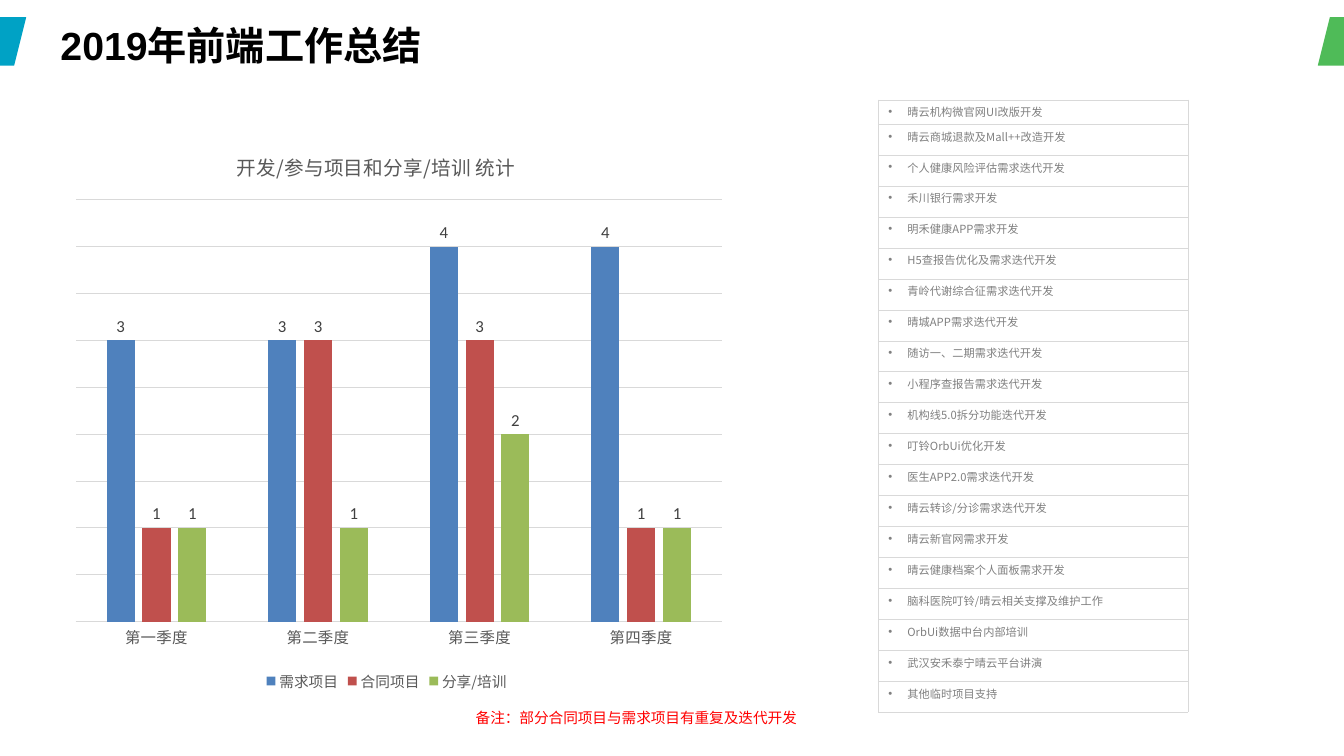
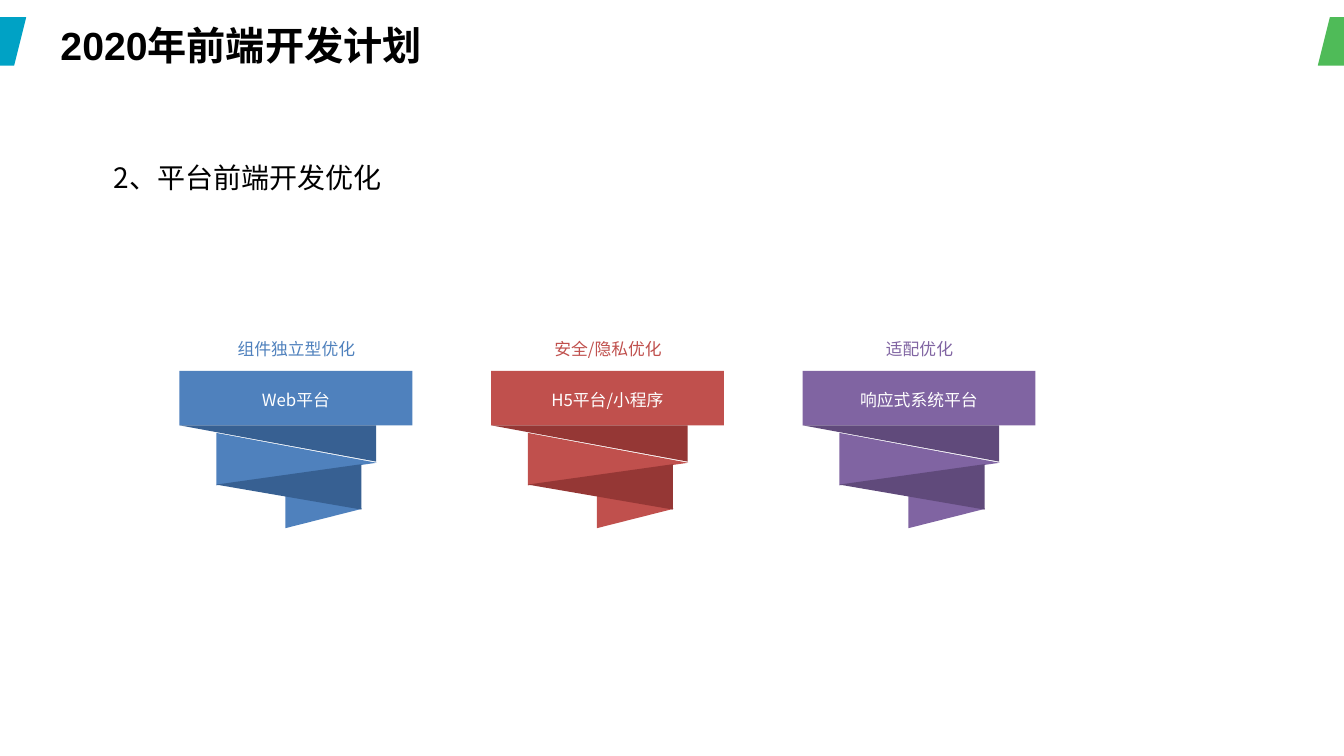
from copy import deepcopy

from lxml.etree import SubElement
from pptx import Presentation
from pptx.chart.data import CategoryChartData
from pptx.dml.color import RGBColor
from pptx.enum.chart import (XL_CHART_TYPE, XL_LABEL_POSITION, XL_LEGEND_POSITION,
                             XL_TICK_LABEL_POSITION, XL_TICK_MARK)
from pptx.enum.shapes import MSO_SHAPE
from pptx.enum.text import MSO_ANCHOR, PP_ALIGN
from pptx.oxml import parse_xml
from pptx.oxml.ns import nsdecls, qn
from pptx.util import Inches, Pt

CJK = "Noto Sans CJK SC"
BLUE, RED, GREEN, PURPLE = "4F81BD", "C0504D", "9BBB59", "8064A2"
GRID, GREY = "D9D9D9", "595959"
TITLES = ["2019年前端工作总结", "2020年前端开发计划"]
color = RGBColor.from_string


def add_shape(shapes, preset, box, fill, rotation=0, flips=(), adjustment=None):
    shape = shapes.add_shape(preset, *map(Inches, box))
    shape.shadow.inherit = False
    shape.fill.solid()
    shape.fill.fore_color.rgb = color(fill)
    shape.line.fill.background()
    shape.rotation = rotation
    for flip in flips:
        shape.element.spPr.find(qn("a:xfrm")).set(flip, "1")
    if adjustment is not None:
        shape.adjustments[0] = adjustment
    return shape


def write(text_frame, text, size, text_color, font=CJK, align=PP_ALIGN.LEFT, bold=False):
    text_frame.text = text
    text_frame.word_wrap = True
    paragraph = text_frame.paragraphs[0]
    paragraph.alignment = align
    run_font = paragraph.runs[0].font
    run_font.name, run_font.size, run_font.bold = font, Pt(size), bold
    run_font.color.rgb = color(text_color)
    return paragraph


presentation = Presentation()
presentation.slide_width, presentation.slide_height = Inches(13.33), Inches(7.5)
slides = []
for title_text in TITLES:
    slide = presentation.slides.add_slide(presentation.slide_layouts[5])
    for left, fill in [(-0.26, "00A2C5"), (13.07, "4FBB58")]:
        add_shape(slide.shapes, MSO_SHAPE.PARALLELOGRAM, (left, 0.17, 0.52, 0.48), fill)
    title = slide.shapes.title
    title.left, title.top, title.width, title.height = map(Inches, (0.6, 0.21, 6.51, 0.47))
    frame = title.text_frame
    frame.margin_left = frame.margin_top = frame.margin_right = frame.margin_bottom = 0
    frame.vertical_anchor = MSO_ANCHOR.TOP
    write(frame, title_text, 28, "000000", "Arial", bold=True)
    slides.append(slide)
summary, plan = slides

# Quarterly chart
chart_data = CategoryChartData()
chart_data.categories = ["第一季度", "第二季度", "第三季度", "第四季度"]
SERIES = [("需求项目", (3, 3, 4, 4), BLUE), ("合同项目", (1, 3, 3, 1), RED),
          ("分享/培训", (1, 1, 2, 1), GREEN)]
for name, values, _ in SERIES:
    chart_data.add_series(name, values)
chart = summary.shapes.add_chart(XL_CHART_TYPE.COLUMN_CLUSTERED,
                                 *map(Inches, (0.37, 1.23, 6.93, 5.67)), chart_data).chart
chart.font.name, chart.font.size = "Calibri", Pt(10)
chart.has_title = True
write(chart.chart_title.text_frame, "开发/参与项目和分享/培训 统计", 14, GREY,
      align=PP_ALIGN.CENTER)
chart.has_legend = True
chart.legend.position = XL_LEGEND_POSITION.BOTTOM
chart.legend.include_in_layout = False
category_axis, value_axis = chart.category_axis, chart.value_axis
for font, size in [(chart.legend.font, 10.5), (category_axis.tick_labels.font, 11)]:
    font.name, font.size = CJK, Pt(size)
    font.color.rgb = color(GREY)
for axis in (category_axis, value_axis):
    axis.major_tick_mark = axis.minor_tick_mark = XL_TICK_MARK.NONE
for line in (category_axis.format.line, value_axis.major_gridlines.format.line):
    line.color.rgb = color(GRID)
    line.width = Pt(0.75)
value_axis.minimum_scale, value_axis.maximum_scale, value_axis.major_unit = 0, 4.5, 0.5
value_axis.tick_label_position = XL_TICK_LABEL_POSITION.NONE
value_axis.format.line.fill.background()

plot = chart.plots[0]
plot.gap_width, plot.overlap, plot.vary_by_categories = 219, -27, False
for series, (_, _, fill) in zip(plot.series, SERIES):
    series.format.fill.solid()
    series.format.fill.fore_color.rgb = color(fill)
    labels = series.data_labels
    labels.show_value, labels.position = True, XL_LABEL_POSITION.OUTSIDE_END
    labels.font.name, labels.font.size = "Calibri", Pt(12)
    labels.font.color.rgb = color("404040")

# Title and plot area positions, as shares of the chart
plot_area = chart.element.find(".//" + qn("c:plotArea"))
for parent, index, target, shares in [
        (chart.chart_title.element, 1, "", {"x": 0.28, "y": 0.04}),
        (plot_area, 0, '<c:layoutTarget val="inner"/>',
         {"x": 0.055, "y": 0.133, "w": 0.925, "h": 0.738})]:
    for old_layout in parent.findall(qn("c:layout")):
        parent.remove(old_layout)
    modes = "".join(f'<c:{key}Mode val="edge"/>' for key in "xy")
    places = "".join(f'<c:{key} val="{share}"/>' for key, share in shares.items())
    parent.insert(index, parse_xml(f'<c:layout {nsdecls("c")}><c:manualLayout>{target}{modes}'
                                   f'{places}</c:manualLayout></c:layout>'))

note = summary.shapes.add_textbox(*map(Inches, (4.62, 6.98, 3.44, 0.28)))
write(note.text_frame, "备注：部分合同项目与需求项目有重复及迭代开发", 10.5, "FF0000")

# Project list
PROJECTS = [
    "晴云机构微官网UI改版开发", "晴云商城退款及Mall++改造开发", "个人健康风险评估需求迭代开发",
    "禾川银行需求开发", "明禾健康APP需求开发", "H5查报告优化及需求迭代开发",
    "青岭代谢综合征需求迭代开发", "晴城APP需求迭代开发", "随访一、二期需求迭代开发",
    "小程序查报告需求迭代开发", "机构线5.0拆分功能迭代开发", "叮铃OrbUi优化开发",
    "医生APP2.0需求迭代开发", "晴云转诊/分诊需求迭代开发", "晴云新官网需求开发",
    "晴云健康档案个人面板需求开发", "脑科医院叮铃/晴云相关支撑及维护工作",
    "OrbUi数据中台内部培训", "武汉安禾泰宁晴云平台讲演", "其他临时项目支持"]
FIRST_ROW, TABLE_HEIGHT = 0.24, 6.08
table = summary.shapes.add_table(len(PROJECTS), 1,
                                 *map(Inches, (8.71, 0.99, 3.07, TABLE_HEIGHT))).table
table.first_row = table.horz_banding = False
for index, project in enumerate(PROJECTS):
    rest = (TABLE_HEIGHT - FIRST_ROW) / (len(PROJECTS) - 1)
    table.rows[index].height = Inches(rest if index else FIRST_ROW)
    cell = table.cell(index, 0)
    cell.margin_top = cell.margin_bottom = Inches(0.04)
    cell_properties = cell._tc.get_or_add_tcPr()
    for side in ("lnL", "lnR", "lnT", "lnB"):
        border = SubElement(cell_properties, qn(f"a:{side}"), w=str(Pt(0.25)))
        border_fill = SubElement(border, qn("a:solidFill"))
        SubElement(border_fill, qn("a:srgbClr"), val=GRID)
    cell.fill.background()
    paragraph = write(cell.text_frame, project, 8, "808080")
    paragraph_properties = paragraph._p.get_or_add_pPr()
    paragraph_properties.set("marL", str(Inches(0.19)))
    paragraph_properties.set("indent", str(Inches(-0.19)))
    SubElement(paragraph_properties, qn("a:buFont"), typeface="Arial")
    SubElement(paragraph_properties, qn("a:buChar"), char="•")

# Folded ribbons
heading = plan.shapes.add_textbox(*map(Inches, (1.03, 1.54, 2.89, 0.44)))
write(heading.text_frame, "2、平台前端开发优化", 20, "000000")
RIBBONS = [("组件独立型优化", "Web平台", BLUE, "376092"),
           ("安全/隐私优化", "H5平台/小程序", RED, "953735"),
           ("适配优化", "响应式系统平台", PURPLE, "604A7B")]
RIBBON_LEFT, RIBBON_STEP = 1.78, 3.09
TRIANGLE = MSO_SHAPE.ISOSCELES_TRIANGLE
for column, (caption, platform, light, dark) in enumerate(RIBBONS):
    left = RIBBON_LEFT + column * RIBBON_STEP
    group = plan.shapes.add_group_shape().shapes
    add_shape(group, TRIANGLE, (left + 1.13, 4.56, 0.6, 0.76), light, 90, adjustment=0.68)
    band = add_shape(group, MSO_SHAPE.RECTANGLE, (left, 3.68, 2.31, 0.54), light)
    band.text_frame.vertical_anchor = MSO_ANCHOR.MIDDLE
    write(band.text_frame, platform, 12, "FFFFFF", align=PP_ALIGN.CENTER).line_spacing = 1.2
    add_shape(group, MSO_SHAPE.RIGHT_TRIANGLE, (left, 4.22, 1.95, 0.36), dark,
              flips=("flipH", "flipV"))
    add_shape(group, TRIANGLE, (left + 0.9, 3.76, 0.52, 1.59), light, 90, adjustment=0.57)
    add_shape(group, TRIANGLE, (left + 0.86, 4.11, 0.45, 1.44), dark, 270, ("flipH",), 0.45)
    label = plan.shapes.add_textbox(*map(Inches, (left + 0.17, 3.24, 1.98, 0.44)))
    label.text_frame.vertical_anchor = MSO_ANCHOR.MIDDLE
    label.text_frame.margin_top = label.text_frame.margin_bottom = 0
    write(label.text_frame, caption, 12, light, align=PP_ALIGN.CENTER)

# Chinese characters take the East Asian font
for root in (summary.element, plan.element, chart.element):
    for latin in list(root.iter(qn("a:latin"))):
        east_asian = SubElement(latin.getparent(), qn("a:ea"), typeface=CJK)
        latin.addnext(east_asian)

presentation.save("out.pptx")
